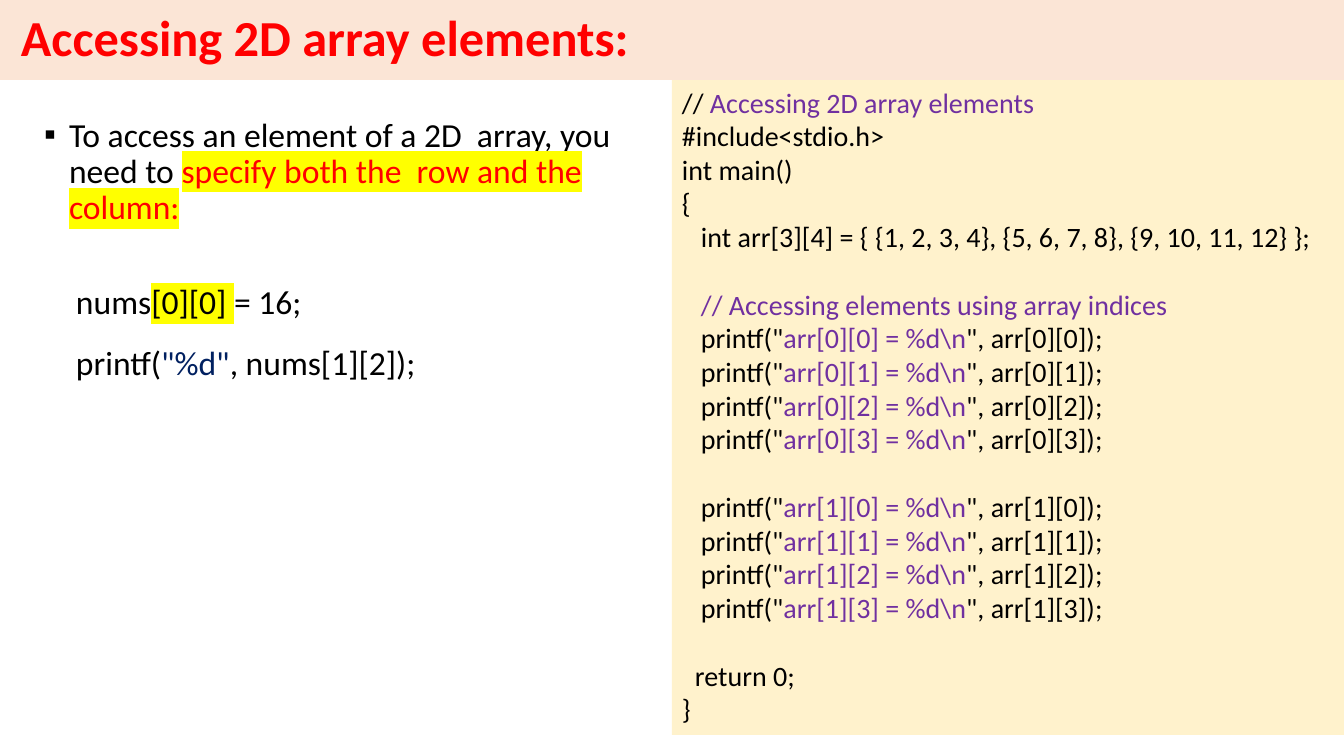
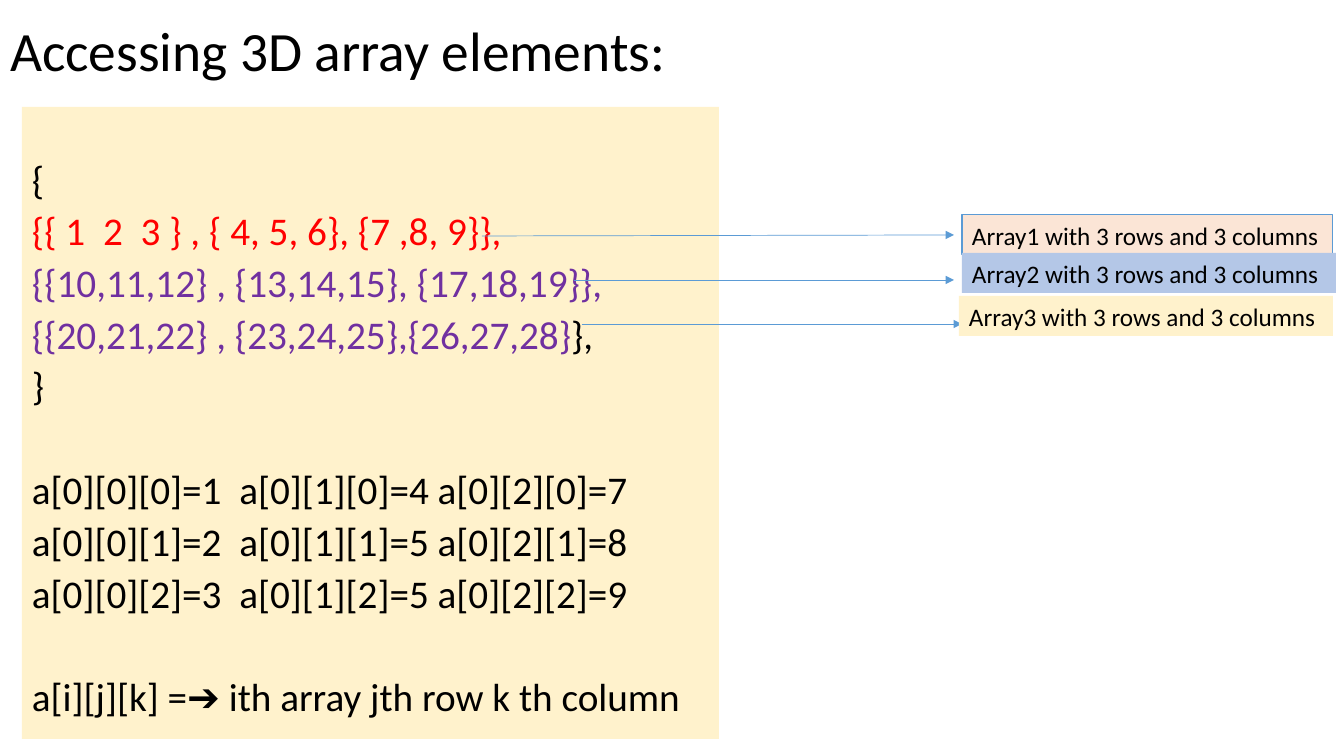
import pptx
import pptx.util
import pptx.dml.color
import pptx.enum.text
import pptx.enum.shapes
import pptx.oxml.ns
import lxml.etree

SLIDE_W, SLIDE_H = 1344, 756
EMU_PER_PX = 12192000 / SLIDE_W
FONT = "Calibri"
LINE_HEIGHT = 1.22
BLACK, RED, PURPLE, NAVY = "000000", "FF0000", "7030A0", "002060"
PEACH, CREAM, PERIWINKLE = "FBE5D6", "FFF2CC", "B4C7E7"
BLUE, YELLOW = "5B9BD5", "FFFF00"
STATEMENT, RETURN = 19, 13


def line(*runs, indent=0, gap=False):
    return {"runs": runs, "indent": indent, "gap": gap}


def plain(text, color=BLACK, **layout):
    return line((text, color), **layout)


def print_element(row, column):
    element = f"arr[{row}][{column}]"
    return line(('printf("', BLACK), (element + " = %d\\n", PURPLE),
                (f'", {element});', BLACK),
                indent=STATEMENT, gap=row == 1 and column == 0)


TITLE_2D = "Accessing 2D array elements:"
TITLE_3D = "Accessing 3D array elements:"

RULE = [line(("To access an element of a 2D  array, you need to ", BLACK),
             ("specify both the  row and the column:", RED, YELLOW))]

USAGE = [
    line(("nums", BLACK), ("[0][0] ", BLACK, YELLOW), ("= 16;", BLACK)),
    line(("printf(", BLACK), ('"%d"', NAVY), (", nums[1][2]);", BLACK)),
]

PROGRAM = [
    line(("//", BLACK), (" Accessing 2D array elements", PURPLE)),
    plain("#include<stdio.h>"),
    plain("int main()"),
    plain("{"),
    plain("int arr[3][4] = { {1, 2, 3, 4}, {5, 6, 7, 8}, {9, 10, 11, 12} };",
          indent=STATEMENT),
    plain("// Accessing elements using array indices", PURPLE,
          indent=STATEMENT, gap=True),
    *[print_element(row, column) for row in range(2) for column in range(4)],
    plain("return 0;", indent=RETURN, gap=True),
    plain("}"),
]

ARRAY_3D = [
    plain("{"),
    plain("{{ 1  2  3 } , { 4, 5, 6}, {7 ,8, 9}},", RED),
    plain("{{10,11,12} , {13,14,15}, {17,18,19}},", PURPLE),
    line(("{{20,21,22} , {23,24,25},{26,27,28}", PURPLE), ("},", BLACK)),
    plain("}"),
    plain("a[0][0][0]=1  a[0][1][0]=4 a[0][2][0]=7", gap=True),
    plain("a[0][0][1]=2  a[0][1][1]=5 a[0][2][1]=8"),
    plain("a[0][0][2]=3  a[0][1][2]=5 a[0][2][2]=9"),
    plain("a[i][j][k] =➔ ith array jth row k th column", gap=True),
]

ARRAY_LABELS = [
    {"box": (962, 215, 371, 40), "fill": PEACH, "border": BLUE,
     "arrow": (482, 236, 954, 235)},
    {"box": (962, 253, 374, 40), "fill": PERIWINKLE, "border": None,
     "arrow": (574, 280, 954, 280)},
    {"box": (959, 296, 374, 40), "fill": CREAM, "border": None,
     "arrow": (582, 324, 962, 324)},
]


def px(length):
    return pptx.util.Emu(round(length * EMU_PER_PX))


def rgb(color):
    return pptx.dml.color.RGBColor.from_string(color)


def add_xml(parent, tag, **attributes):
    return lxml.etree.SubElement(parent, pptx.oxml.ns.qn(tag), attributes)


def place(part, box, fill=None):
    part.left, part.top, part.width, part.height = map(px, box)
    if fill:
        part.fill.solid()
        part.fill.fore_color.rgb = rgb(fill)


def highlight(run, color):
    mark = lxml.etree.Element(pptx.oxml.ns.qn("a:highlight"))
    add_xml(mark, "a:srgbClr", val=color)
    run.font._element.find(pptx.oxml.ns.qn("a:solidFill")).addnext(mark)


def write(part, lines, size, spacing=1.0, before=0, insets=(10, 5, 10, 5),
          anchor="TOP", bold=False, bullet=None, hang=0):
    frame = part.text_frame
    frame.auto_size = pptx.enum.text.MSO_AUTO_SIZE.NONE
    frame.word_wrap = True
    frame.vertical_anchor = getattr(pptx.enum.text.MSO_ANCHOR, anchor)
    (frame.margin_left, frame.margin_top,
     frame.margin_right, frame.margin_bottom) = map(px, insets)
    for index, content in enumerate(lines):
        paragraph = frame.add_paragraph() if index else frame.paragraphs[0]
        paragraph.alignment = pptx.enum.text.PP_ALIGN.LEFT
        paragraph.line_spacing = spacing
        skipped = before + size * LINE_HEIGHT * spacing if content["gap"] else 0
        paragraph.space_before = pptx.util.Pt(before + skipped if index else 0)
        paragraph.space_after = pptx.util.Pt(0)
        properties = paragraph._p.get_or_add_pPr()
        properties.set("marL", str(px(content["indent"] + hang)))
        properties.set("indent", str(px(-hang)))
        if bullet:
            add_xml(properties, "a:buChar", char=bullet)
        else:
            add_xml(properties, "a:buNone")
        for text, color, *marker in content["runs"]:
            run = paragraph.add_run()
            run.text = text
            run.font.name = FONT
            run.font.size = pptx.util.Pt(size)
            run.font.bold = bold
            run.font.color.rgb = rgb(color)
            if marker:
                highlight(run, marker[0])


def add_panel(slide, box, lines, size, fill=None, border=None, **style):
    panel = slide.shapes.add_textbox(*map(px, box))
    place(panel, box, fill)
    if border:
        panel.line.color.rgb = rgb(border)
        panel.line.width = pptx.util.Pt(0.75)
    write(panel, lines, size, **style)


def add_arrow(slide, ends):
    arrow = slide.shapes.add_connector(
        pptx.enum.shapes.MSO_CONNECTOR.STRAIGHT, *map(px, ends))
    arrow.line.color.rgb = rgb(BLUE)
    arrow.line.width = pptx.util.Pt(0.5)
    add_xml(arrow.line._get_or_add_ln(), "a:tailEnd", type="triangle")
    add_xml(arrow._element.spPr, "a:effectLst")


def add_slide(deck, title, box, size, color, fill=None, bold=False, inset=10):
    slide = deck.slides.add_slide(deck.slide_layouts[1])
    heading = slide.shapes.title
    place(heading, box, fill)
    write(heading, [plain(title, color)], size, spacing=0.9, anchor="MIDDLE",
          bold=bold, insets=(inset, 5, 10, 5))
    return slide


def build_2d(deck):
    band = 80
    half = SLIDE_W // 2
    slide = add_slide(deck, TITLE_2D, (0, 0, SLIDE_W, band), 36, RED,
                      fill=PEACH, bold=True, inset=21)
    rule = slide.placeholders[1]
    place(rule, (34, 113, 625, 147))
    write(rule, RULE, 24, spacing=0.9, bullet="▪", hang=25)
    add_panel(slide, (75, 260, 475, 124), USAGE, 24, spacing=1.5,
              insets=(1, 1, 0, 0))
    add_panel(slide, (half, band, half, 655), PROGRAM, 20, fill=CREAM)


def build_3d(deck):
    slide = add_slide(deck, TITLE_3D, (0, 0, 1322, 107), 39.6, BLACK)
    array = slide.placeholders[1]
    place(array, (22, 107, 697, 632), CREAM)
    write(array, ARRAY_3D, 28, spacing=0.8, before=10, insets=(10, 57, 10, 5))
    for number, label in enumerate(ARRAY_LABELS, 1):
        add_arrow(slide, label["arrow"])
        add_panel(slide, label["box"],
                  [plain(f"Array{number} with 3 rows and 3 columns")], 18,
                  fill=label["fill"], border=label["border"])


def main():
    deck = pptx.Presentation()
    deck.slide_width, deck.slide_height = px(SLIDE_W), px(SLIDE_H)
    build_2d(deck)
    build_3d(deck)
    deck.save("out.pptx")


if __name__ == "__main__":
    main()
